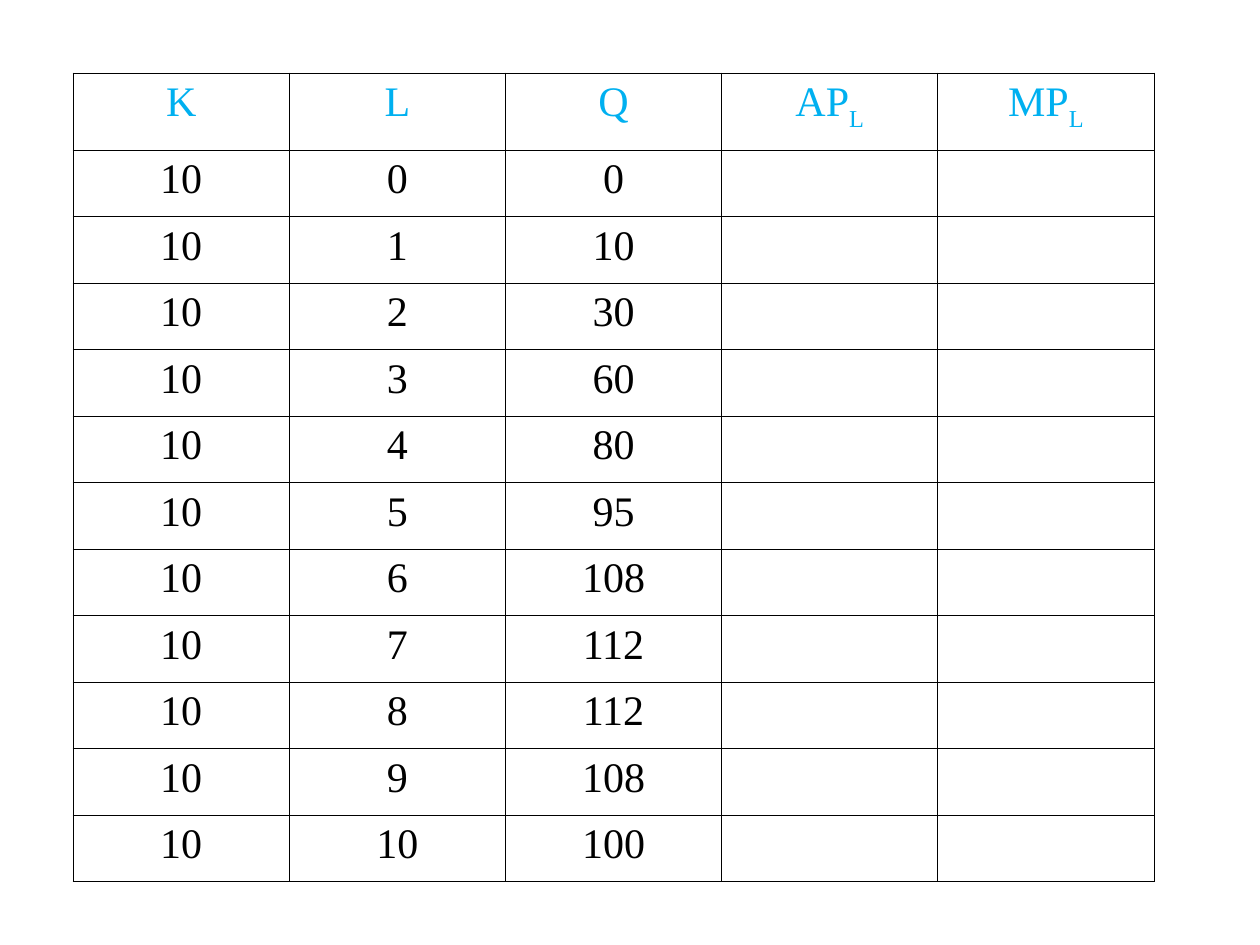
"""Build a slide tabulating capital, labour and output, with blank product columns."""
import dataclasses

import lxml.etree
import pptx
import pptx.dml.color
import pptx.enum.text
import pptx.oxml.ns
import pptx.presentation
import pptx.slide
import pptx.table
import pptx.util

Inches = pptx.util.Inches


@dataclasses.dataclass(frozen=True)
class Theme:
    font: str = "Times New Roman"
    size: int = 24
    heading: str = "00B0F0"
    body: str = "000000"
    border: str = "000000"
    border_width: float = 0.45


@dataclasses.dataclass(frozen=True)
class Label:
    text: str
    subscript: str = ""


@dataclasses.dataclass(frozen=True)
class Grid:
    left: float = 0.58
    top: float = 0.58
    width: float = 8.58
    height: float = 6.42
    heading_height: float = 0.61


THEME = Theme()
GRID = Grid()
HEADINGS = [Label("K"), Label("L"), Label("Q"), Label("AP", "L"), Label("MP", "L")]
CAPITAL = 10
OUTPUTS = [0, 10, 30, 60, 80, 95, 108, 112, 112, 108, 100]


def draw_borders(cell: pptx.table._Cell) -> None:
    """Outline all four sides of a cell."""
    properties = cell._tc.get_or_add_tcPr()
    qn = pptx.oxml.ns.qn
    width = str(int(pptx.util.Pt(THEME.border_width)))
    for side in ("lnL", "lnR", "lnT", "lnB"):
        line = lxml.etree.SubElement(properties, qn(f"a:{side}"), w=width)
        fill = lxml.etree.SubElement(line, qn("a:solidFill"))
        lxml.etree.SubElement(fill, qn("a:srgbClr"), val=THEME.border)


def write_label(cell: pptx.table._Cell, label: Label, color: str) -> None:
    """Write a centred label with its optional subscript."""
    para = cell.text_frame.paragraphs[0]
    para.alignment = pptx.enum.text.PP_ALIGN.CENTER
    font_format = {"name": THEME.font, "size": pptx.util.Pt(THEME.size), "bold": False}
    for text, baseline in ((label.text, 0), (label.subscript, -25000)):
        if not text:
            continue
        span = para.add_run()
        span.text = text
        for name, value in font_format.items():
            setattr(span.font, name, value)
        span.font.color.rgb = pptx.dml.color.RGBColor.from_string(color)
        if baseline:
            span._r.get_or_add_rPr().set("baseline", str(baseline))


def draw_table(page: pptx.slide.Slide, rows: list[list[Label]]) -> None:
    """Draw the bordered table, its first row being the headings."""
    frame = page.shapes.add_table(
        len(rows), len(HEADINGS),
        Inches(GRID.left), Inches(GRID.top), Inches(GRID.width), Inches(GRID.height),
    )
    table = frame.table
    for name, value in {"first_row": False, "horz_banding": False}.items():
        setattr(table, name, value)
    for column in table.columns:
        column.width = Inches(GRID.width / len(HEADINGS))
    body_height = (GRID.height - GRID.heading_height) / (len(rows) - 1)
    for index, row in enumerate(table.rows):
        row.height = Inches(body_height if index else GRID.heading_height)
    for cell in table.iter_cells():
        draw_borders(cell)
        cell.fill.background()
    for row_index, labels in enumerate(rows):
        color = THEME.body if row_index else THEME.heading
        for column_index, label in enumerate(labels):
            write_label(table.cell(row_index, column_index), label, color)


def main() -> None:
    """Create and save the deck."""
    deck = pptx.Presentation()
    for name, value in {"slide_width": Inches(10), "slide_height": Inches(7.5)}.items():
        setattr(deck, name, value)
    page = deck.slides.add_slide(deck.slide_layouts[6])
    body = [
        [Label(str(value)) for value in (CAPITAL, labour, output)]
        for labour, output in enumerate(OUTPUTS)
    ]
    draw_table(page, [HEADINGS, *body])
    deck.save("out.pptx")


if __name__ == "__main__":
    main()
